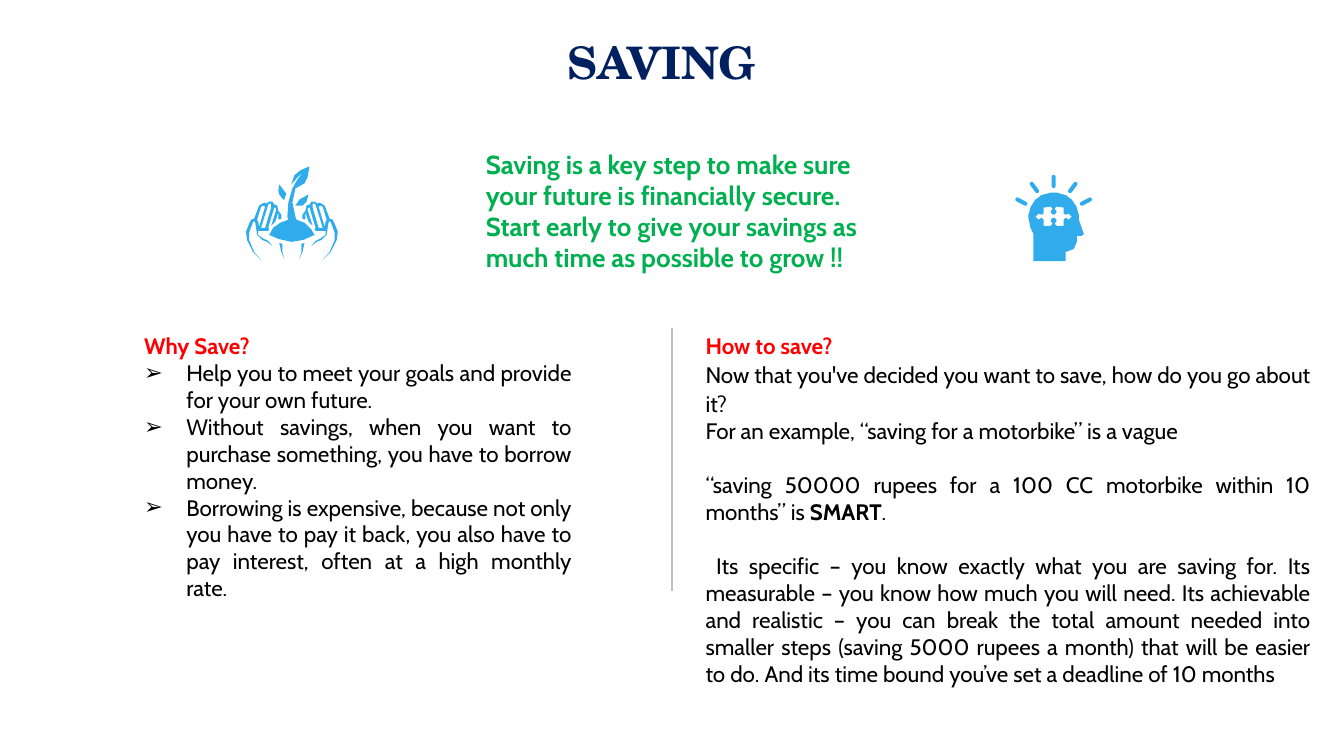
from math import cos, pi, sin

from lxml import etree
from pptx import Presentation
from pptx.dml.color import RGBColor
from pptx.enum.shapes import MSO_CONNECTOR, MSO_SHAPE
from pptx.enum.text import MSO_ANCHOR, MSO_AUTO_SIZE, PP_ALIGN
from pptx.oxml.ns import qn
from pptx.util import Inches, Pt

CENTER, LEFT, JUSTIFY = PP_ALIGN.CENTER, PP_ALIGN.LEFT, PP_ALIGN.JUSTIFY
MIDDLE, TOP = MSO_ANCHOR.MIDDLE, MSO_ANCHOR.TOP
STRAIGHT, ROUNDED = MSO_CONNECTOR.STRAIGHT, MSO_SHAPE.ROUNDED_RECTANGLE
FIXED = MSO_AUTO_SIZE.NONE

COLORS = {"title": "002060", "heading": "FF0000", "body": "000000",
          "message": "00B050", "divider": "BFBFBF", "icon": "30ACEC"}
TITLE_FONT, BODY_FONT = "TeX Gyre Schola", "Cabin"
TITLE_SIZE, MESSAGE_SIZE, BODY_SIZE = 32, 18.6, 16
LINE_GAP = 19.4
INDENT = 0.42

TITLE = "SAVING"
MESSAGE = ("Saving is a key step to make sure your future is financially secure. "
           "Start early to give your savings as much time as possible to grow !!")
WHY_HEADING = "Why Save?"
REASONS = [
    "Help you to meet your goals and provide for your own future.",
    "Without savings, when you want to purchase something, you have to borrow money.",
    "Borrowing is expensive, because not only you have to pay it back, you also have "
    "to pay interest, often at a high monthly rate.",
]
HOW_HEADING = "How to save?"
ADVICE = [
    {"spans": [("Now that you've decided you want to save, how do you go about it?", False)],
     "spacing": 1.08},
    {"spans": [("For an example, “saving for a motorbike” is a vague", False)]},
    {"spans": [("“saving 50000 rupees for a 100 CC motorbike within 10 months” is ", False),
               ("SMART", True), (".", False)], "gap": LINE_GAP},
    {"spans": [(" Its specific – you know exactly what you are saving for. Its measurable – "
                "you know how much you will need. Its achievable and realistic – you can "
                "break the total amount needed into smaller steps (saving 5000 rupees a "
                "month) that will be easier to do. And its time bound you’ve set a deadline "
                "of 10 months", False)], "gap": LINE_GAP},
]

WIDTH, HEIGHT = 13.33, 7.5
AREAS = {"title": (6.08, 3.33, 86.27, 9.6), "message": (35.41, 18.93, 30.83, 18.13),
         "why": (9.98, 43.33, 33.31, 34.8), "how": (51.76, 43.33, 46.51, 34.8),
         "divider": (50, 43.33, 0, 34.8)}

HANDS_ORIGIN, HANDS_WIDTH = (243, 165), 93
HAND = [
    [(17, 71), (13, 68), (13, 64), (23, 64), (24, 62), (23, 61), (29, 41), (30, 41),
     (31, 43), (26, 59), (30, 55), (33, 46), (33, 53), (36, 52), (36, 48), (33, 44),
     (32, 39), (29, 38), (27, 35), (24, 35), (21, 37), (19, 36), (14, 39), (9, 52),
     (6, 53), (4, 57), (1, 65), (2, 73), (8, 85), (17, 94), (9, 85), (4, 73), (4, 66),
     (7, 58), (8, 55), (10, 55), (11, 61), (12, 68), (17, 73), (22, 75), (27, 79), (23, 74)],
    [(23, 38), (24, 37), (26, 37), (26, 41), (20, 61), (16, 61)],
    [(12, 53), (16, 40), (18, 39), (20, 40), (14, 60), (13, 55)],
    [(37, 85), (37, 77), (34, 76), (36, 85), (39, 92)],
]
PLANT = [
    [(67, 65), (66, 63), (62, 59), (59, 56), (51, 53), (50, 50), (47, 36), (50, 22),
     (59, 17), (62, 11), (64, 0), (55, 4), (49, 9), (46, 18), (52, 11), (58, 6),
     (52, 13), (47, 22), (43, 36), (42, 50), (43, 53), (35, 56), (28, 61), (24, 68),
     (33, 72), (46, 75), (58, 73), (69, 68)],
    [(38, 33), (39, 33), (41, 27), (40, 26), (34, 18), (33, 24), (34, 28)],
    [(50, 39), (57, 39), (61, 35), (63, 28), (54, 33)],
]

HEAD_ORIGIN, HEAD_RADIUS, ARC_STEPS = (1020, 191), 25, 24
FACE = [(2, 35), (5, 41), (5, 68), (37, 68), (37, 59), (45, 56), (48, 49), (48, 43),
        (53, 43), (55, 41), (50, 27)]
PUZZLE_HALF = [(0, 22), (2, 21), (3, 19), (1, 16), (3, 14), (10, 15), (10, 21), (12, 22),
               (15, 21), (18, 24), (15, 27), (12, 25), (10, 27), (10, 33), (3, 33),
               (1, 31), (3, 28), (2, 26), (0, 25)]
RAY_AXIS, RAY_WIDTH, RAY_LENGTH = 10.45, 0.04, 0.13
RAYS = [(0, 1.8, 0), (0.19, 1.86, 37), (0.32, 2, 62)]


def color(name):
    return RGBColor.from_string(COLORS[name])


def place(name):
    left, top, width, height = AREAS[name]
    return [Inches(share * side / 100) for share, side in
            ((left, WIDTH), (top, HEIGHT), (width, WIDTH), (height, HEIGHT))]


def style(span, font, size, tint, bold):
    span.font.name, span.font.size, span.font.bold = font, Pt(size), bold
    span.font.color.rgb = color(tint)


def prepare(shape, anchor):
    frame = shape.text_frame
    frame.word_wrap, frame.auto_size, frame.vertical_anchor = True, FIXED, anchor
    return frame


def write(para, text, tint, size=BODY_SIZE, bold=False, align=JUSTIFY, font=BODY_FONT):
    para.text, para.alignment = text, align
    style(para.runs[0], font, size, tint, bold)


def add_bullet(para):
    props = para._p.get_or_add_pPr()
    props.set("marL", str(Inches(INDENT)))
    props.set("indent", str(-Inches(INDENT)))
    etree.SubElement(props, qn("a:buFont")).set("typeface", "Arial")
    etree.SubElement(props, qn("a:buChar")).set("char", "➢")


def text_box(page, name):
    return prepare(page.shapes.add_textbox(*place(name)), TOP)


def paint(shape):
    shape.shadow.inherit = False
    shape.fill.solid()
    shape.fill.fore_color.rgb = color("icon")
    shape.line.fill.background()


def draw_outline(shapes, contours, origin):
    moved = [[(x + origin[0], y + origin[1]) for x, y in contour] for contour in contours]
    builder = shapes.build_freeform(*moved[0][0], scale=Inches(0.01))
    for contour in moved:
        builder.move_to(*contour[0])
        builder.add_line_segments(contour[1:], close=True)
    paint(builder.convert_to_shape())


def draw_hands(page):
    other_hand = [[(HANDS_WIDTH - x, y) for x, y in contour] for contour in HAND]
    draw_outline(page.shapes, HAND + other_hand + PLANT, HANDS_ORIGIN)


def draw_head(page):
    group = page.shapes.add_group_shape()
    angles = [pi * step / ARC_STEPS for step in range(ARC_STEPS + 1)]
    skull = [(HEAD_RADIUS * (1 + cos(angle)), HEAD_RADIUS * (1 - sin(angle)))
             for angle in angles]
    puzzle = [(HEAD_RADIUS + x, y) for x, y in PUZZLE_HALF]
    puzzle += [(HEAD_RADIUS - x, y) for x, y in PUZZLE_HALF[-2:0:-1]]
    draw_outline(group.shapes, [skull + FACE[::1], puzzle], HEAD_ORIGIN)
    mirrored = [(-offset, middle, -turn) for offset, middle, turn in RAYS[1:]]
    for offset, middle, turn in RAYS + mirrored:
        ray = group.shapes.add_shape(
            ROUNDED, Inches(RAY_AXIS + offset - RAY_WIDTH / 2),
            Inches(middle - RAY_LENGTH / 2), Inches(RAY_WIDTH), Inches(RAY_LENGTH))
        ray.adjustments[0], ray.rotation = 0.5, turn
        paint(ray)


def main():
    deck = Presentation()
    deck.slide_width, deck.slide_height = Inches(WIDTH), Inches(HEIGHT)
    page = deck.slides.add_slide(deck.slide_layouts[5])

    title = page.shapes.title
    title.left, title.top, title.width, title.height = place("title")
    write(prepare(title, MIDDLE).paragraphs[0], TITLE, "title", TITLE_SIZE, True,
          CENTER, TITLE_FONT)

    why = text_box(page, "why")
    write(why.paragraphs[0], WHY_HEADING, "heading", bold=True)
    for reason in REASONS:
        para = why.add_paragraph()
        write(para, reason, "body")
        add_bullet(para)

    left, top, width, height = place("divider")
    divider = page.shapes.add_connector(STRAIGHT, left, top, left + width, top + height)
    divider.line.color.rgb, divider.line.width = color("divider"), Pt(0.75)
    etree.SubElement(divider._element.spPr, qn("a:effectLst"))

    how = text_box(page, "how")
    write(how.paragraphs[0], HOW_HEADING, "heading", bold=True)
    for advice in ADVICE:
        para = how.add_paragraph()
        para.alignment = JUSTIFY
        para.line_spacing = advice.get("spacing", 1.0)
        para.space_before = Pt(advice.get("gap", 0))
        for text, bold in advice["spans"]:
            span = para.add_run()
            span.text = text
            style(span, BODY_FONT, BODY_SIZE, "body", bold)

    write(text_box(page, "message").paragraphs[0], MESSAGE, "message", MESSAGE_SIZE,
          True, LEFT)
    draw_hands(page)
    draw_head(page)
    deck.save("out.pptx")


if __name__ == "__main__":
    main()
